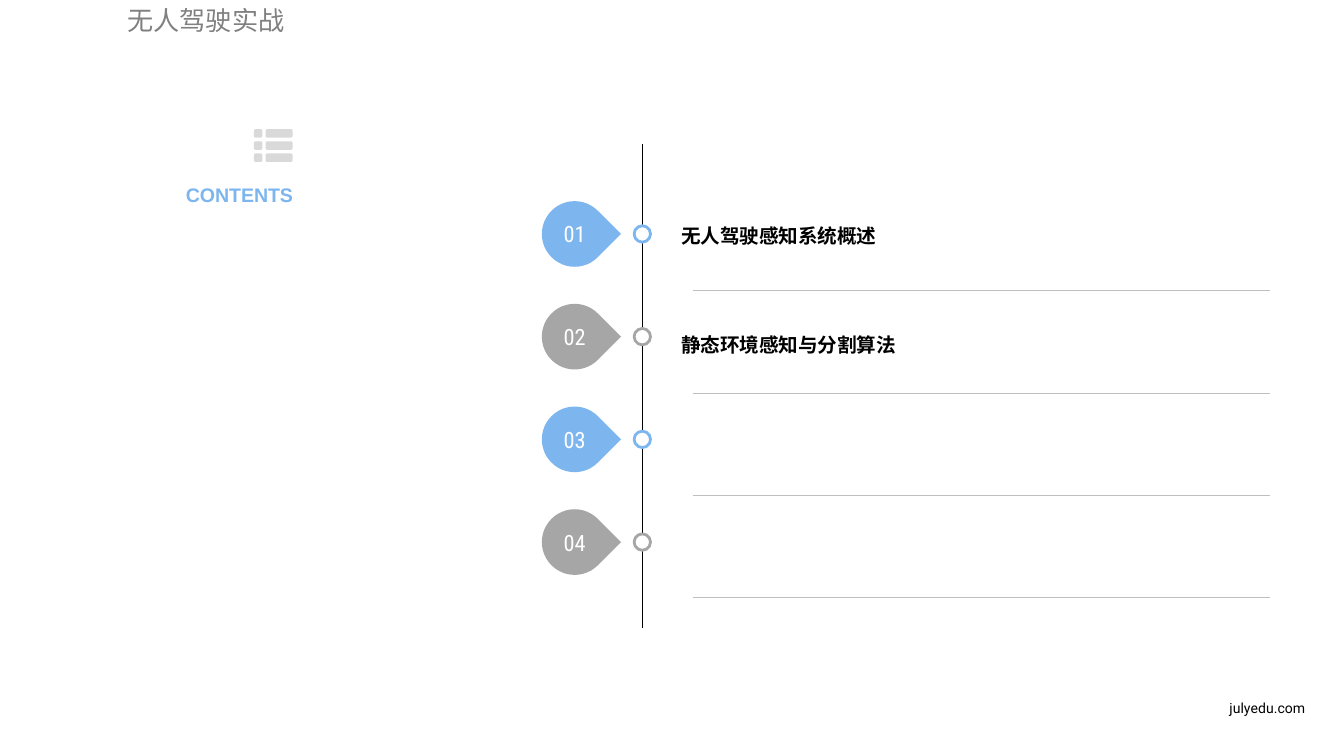
import pptx
import pptx.util
import pptx.dml.color
import pptx.enum.shapes
import pptx.enum.text
import pptx.oxml.ns
import lxml.etree

Cm = pptx.util.Cm
Pt = pptx.util.Pt
RGBColor = pptx.dml.color.RGBColor
Shape = pptx.enum.shapes.MSO_SHAPE
Align = pptx.enum.text.PP_ALIGN
Anchor = pptx.enum.text.MSO_ANCHOR

BLACK = RGBColor(0x00, 0x00, 0x00)
WHITE = RGBColor(0xFF, 0xFF, 0xFF)
BLUE = RGBColor(0x7D, 0xB6, 0xEF)
GRAY = RGBColor(0xA6, 0xA6, 0xA6)
TITLE_GRAY = RGBColor(0x80, 0x80, 0x80)
RULE_GRAY = RGBColor(0xBF, 0xBF, 0xBF)
ICON_GRAY = RGBColor(0xD9, 0xD9, 0xD9)

BADGE_X = 10.86
AXIS_X = 12.14
FIRST_Y = 4.42
STEP = 1.94
RULE_Y = 5.49
RULE_STEP = 1.93


class ContentsPage:
    def __init__(self, page):
        self.page = page

    def fill_text(self, box, words, font, size, color, align=Align.LEFT,
                  bold=False, anchor=Anchor.MIDDLE, inset=(0.18, 0.1),
                  spacing=1.0, wrap=True):
        frame = box.text_frame
        frame.word_wrap = wrap
        frame.vertical_anchor = anchor
        frame.margin_left = frame.margin_right = Cm(inset[0])
        frame.margin_top = frame.margin_bottom = Cm(inset[1])
        frame.text = words
        para = frame.paragraphs[0]
        para.alignment = align
        para.line_spacing = spacing
        span = para.runs[0]
        span.font.name = font
        span.font.size = Pt(size)
        span.font.bold = bold
        span.font.color.rgb = color

    def text(self, left, top, width, height, words, font, size, color, **style):
        box = self.page.shapes.add_textbox(Cm(left), Cm(top), Cm(width), Cm(height))
        self.fill_text(box, words, font, size, color, **style)

    def shape(self, kind, left, top, width, height, fill, outline=None):
        box = self.page.shapes.add_shape(kind, Cm(left), Cm(top), Cm(width), Cm(height))
        box.shadow.inherit = False
        box.fill.solid()
        box.fill.fore_color.rgb = fill
        if outline is None:
            box.line.fill.background()
        else:
            box.line.color.rgb = outline
            box.line.width = Pt(1.5)
        return box

    def centered(self, kind, x, y, size, fill, outline=None):
        return self.shape(kind, x - size / 2, y - size / 2, size, size, fill, outline)

    def line(self, x1, y1, x2, y2, color, width):
        rule = self.page.shapes.add_connector(
            pptx.enum.shapes.MSO_CONNECTOR.STRAIGHT, Cm(x1), Cm(y1), Cm(x2), Cm(y2))
        rule.line.color.rgb = color
        rule.line.width = Pt(width)
        lxml.etree.SubElement(rule._element.spPr, pptx.oxml.ns.qn("a:effectLst"))

    def list_icon(self, left, top):
        for row in range(3):
            for offset, width in ((0, 0.16), (0.22, 0.51)):
                bar = self.shape(Shape.ROUNDED_RECTANGLE, left + offset,
                                 top + row * 0.23, width, 0.16, ICON_GRAY)
                bar.adjustments[0] = 0.2

    def badge(self, number, y, color):
        self.centered(Shape.OVAL, AXIS_X, y, 0.31, WHITE, color)
        drop = self.centered(Shape.TEAR, BADGE_X, y, 1.24, color)
        drop.rotation = 45
        disc = self.centered(Shape.OVAL, BADGE_X, y, 1.19, color)
        self.fill_text(disc, number, "Roboto Condensed", 12, WHITE,
                       align=Align.CENTER, wrap=False)


def main():
    deck = pptx.Presentation()
    deck.slide_width = Cm(25.4)
    deck.slide_height = Cm(14.28)
    contents = ContentsPage(deck.slides.add_slide(deck.slide_layouts[6]))

    contents.text(2.16, -0.05, 5.03, 0.86, "无人驾驶实战", "Lato", 14, TITLE_GRAY,
                  anchor=Anchor.TOP, inset=(0.25, 0.13))
    contents.list_icon(4.8, 2.44)
    contents.text(1.4, 3.35, 4.32, 0.66, "CONTENTS", "Arial", 10.5, BLUE,
                  align=Align.RIGHT, bold=True)

    contents.line(AXIS_X, 2.72, AXIS_X, 11.86, BLACK, 0.5)
    for index in range(4):
        color = (BLUE, GRAY)[index % 2]
        contents.badge(f"{index + 1:02d}", FIRST_Y + index * STEP, color)
        rule_y = RULE_Y + index * RULE_STEP
        contents.line(13.1, rule_y, 24, rule_y, RULE_GRAY, 0.25)

    for top, topic in ((3.96, "无人驾驶感知系统概述"), (6.02, "静态环境感知与分割算法")):
        contents.text(12.7, top, 11.3, 0.89, topic, "Arial", 10.5, BLACK,
                      bold=True, spacing=1.2)

    contents.text(19.94, 13.08, 4.98, 0.58, "julyedu.com", "Roboto", 7.5, BLACK,
                  align=Align.RIGHT, anchor=Anchor.TOP, inset=(0.25, 0.13))
    deck.save("out.pptx")


if __name__ == "__main__":
    main()
